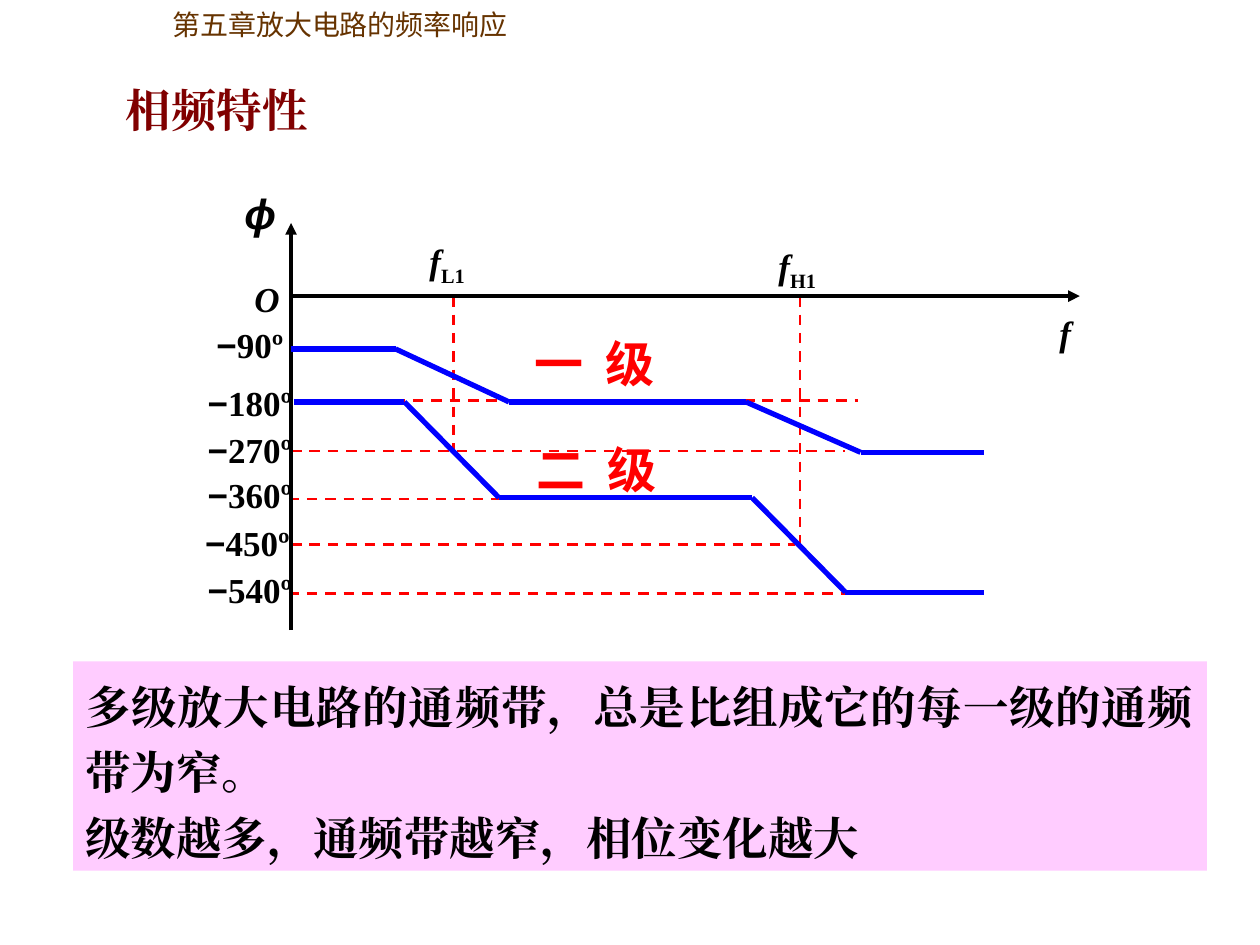
from dataclasses import dataclass
from itertools import pairwise

from lxml.etree import SubElement
from pptx import Presentation
from pptx.dml.color import RGBColor
from pptx.enum.dml import MSO_LINE_DASH_STYLE as Dash
from pptx.enum.shapes import MSO_CONNECTOR as Link, MSO_SHAPE as Form
from pptx.enum.text import MSO_ANCHOR as Anchor, PP_ALIGN as Align
from pptx.oxml.ns import qn
from pptx.util import Cm, Pt

BLACK = RGBColor(0x00, 0x00, 0x00)
RED = RGBColor(0xFF, 0x00, 0x00)
BLUE = RGBColor(0x00, 0x00, 0xFF)
BROWN = RGBColor(0x66, 0x33, 0x00)
MAROON = RGBColor(0x80, 0x00, 0x00)
PINK = RGBColor(0xFF, 0xCC, 0xFF)
SERIF, SANS = "Times New Roman", "Arial"
HAN, KANJI = "Noto Sans CJK SC", "Noto Sans CJK JP"


@dataclass
class Run:
    text: str
    size: float = 20
    font: str = SERIF
    color: RGBColor = BLACK
    bold: bool = True
    slant: bool = False
    base: int = 0   # baseline shift, percent
    gap: float = 0  # letter spacing, points


@dataclass
class Label:
    left: float
    top: float
    width: float
    height: float
    runs: list[Run]
    inset: float = 0.1


@dataclass
class Level:
    angle: str
    left: float
    top: float
    dash: tuple[float, float, float] | None  # from x, to x, y


def dist(inches: float) -> Cm:
    return Cm(inches * 2.54)


def add_run(para, run: Run) -> None:
    item = para.add_run()
    item.text = run.text
    font = item.font
    font.name, font.size = run.font, Pt(run.size)
    font.bold, font.italic = run.bold, run.slant
    font.color.rgb = run.color
    props = item._r.get_or_add_rPr()
    SubElement(props, qn("a:ea")).set("typeface", run.font)
    if run.base:
        props.set("baseline", str(run.base * 1000))
    if run.gap:
        props.set("spc", str(round(run.gap * 100)))


def add_label(slide, label: Label) -> None:
    box = slide.shapes.add_textbox(*map(dist, (label.left, label.top, label.width, label.height)))
    frame = box.text_frame
    frame.word_wrap = True
    frame.margin_left = dist(label.inset)
    para = frame.paragraphs[0]
    para.space_before = Pt(label.runs[0].size * 0.625)
    for run in label.runs:
        add_run(para, run)


def add_line(slide, start, end, color: RGBColor, width: float,
             dash: bool = False, arrow: bool = False) -> None:
    line = slide.shapes.add_connector(Link.STRAIGHT, *map(dist, (*start, *end)))
    line.line.color.rgb = color
    line.line.width = Pt(width)
    if dash:
        line.line.dash_style = Dash.DASH
    if arrow:
        SubElement(line.line._get_or_add_ln(), qn("a:tailEnd")).set("type", "triangle")
    SubElement(line._element.spPr, qn("a:effectLst"))


def add_note(slide, lines: list[str]) -> None:
    note = slide.shapes.add_shape(Form.RECTANGLE, *map(dist, (0.58, 5.25, 9, 1.66)))
    note.shadow.inherit = False
    note.fill.solid()
    note.fill.fore_color.rgb = PINK
    note.line.fill.background()
    frame = note.text_frame
    frame.word_wrap = True
    frame.vertical_anchor = Anchor.TOP
    for row, text in enumerate(lines):
        para = frame.add_paragraph() if row else frame.paragraphs[0]
        para.alignment = Align.JUSTIFY
        para.line_spacing = 1.2
        add_run(para, Run(text, 26))


def sign(text: str, low: str = "") -> list[Run]:
    runs = [Run(text, slant=True)]
    return runs + [Run(low, base=-25)] if low else runs


def stage(text: str) -> list[Run]:
    look = dict(size=28, font=HAN, color=RED)
    return [Run(text, **look), Run(" ", gap=6.3, **look), Run("级", **look)]


LEVELS = [
    Level("90º", 1.62, 2.52, None),
    Level("180º", 1.55, 2.98, (2.4, 6.81, 3.18)),
    Level("270º", 1.55, 3.35, (2.31, 6.71, 3.58)),
    Level("360º", 1.55, 3.71, (2.29, 4.29, 3.96)),
    Level("450º", 1.53, 4.09, (2.31, 6.31, 4.32)),
    Level("540º", 1.55, 4.46, (2.29, 7.67, 4.71)),
]
DROPS = [(3.6, 3.57), (6.35, 4.33)]  # x, lower end
CURVES = [
    [(2.33, 3.19), (3.21, 3.19), (3.96, 3.95), (5.97, 3.95), (6.71, 4.7), (7.81, 4.7)],
    [(2.31, 2.77), (3.14, 2.77), (4.04, 3.19), (5.92, 3.19), (6.83, 3.59), (7.81, 3.59)],
]
LABELS = [
    Label(1.17, 0.01, 3.44, 0.37,
          [Run("第五章放大电路的频率响应", 16, KANJI, BROWN, False)], inset=0.2),
    Label(0.9, 0.6, 2.08, 0.54, [Run("相频特性", 26, color=MAROON)]),
    Label(3.31, 1.85, 0.88, 0.48, sign("f", "L1")),
    Label(6.08, 1.89, 0.63, 0.48, sign("f", "H1")),
    Label(8.31, 2.42, 0.69, 0.44, sign("f")),
    Label(1.92, 2.15, 0.39, 0.44, sign("O")),
    Label(1.84, 1.44, 0.58, 0.5, [Run("ϕ", 24, SANS, slant=True)]),
]
STAGES = [
    Label(4.14, 2.6, 1.58, 0.57, stage("一")),
    Label(4.16, 3.44, 1.58, 0.57, stage("二")),
]


def main() -> None:
    deck = Presentation()
    deck.slide_width, deck.slide_height = dist(10), dist(7.5)
    slide = deck.slides.add_slide(deck.slide_layouts[6])

    # Headings and axis names
    for label in LABELS:
        add_label(slide, label)

    # Phase levels and corner frequencies
    for level in LEVELS:
        runs = [Run("−", font=SANS), Run(level.angle)]
        add_label(slide, Label(level.left, level.top, 1, 0.44, runs))
        if level.dash:
            left, right, y = level.dash
            add_line(slide, (left, y), (right, y), RED, 1.5, dash=True)
    for x, low in DROPS:
        add_line(slide, (x, 2.35), (x, low), RED, 1.5, dash=True)

    # Axes
    add_line(slide, (2.32, 2.35), (8.57, 2.35), BLACK, 2.25, arrow=True)
    add_line(slide, (2.31, 5), (2.31, 1.77), BLACK, 2.25, arrow=True)

    # Phase curves with their stage names
    for curve in CURVES:
        for start, end in pairwise(curve):
            add_line(slide, start, end, BLUE, 3)
    for label in STAGES:
        add_label(slide, label)

    # Conclusion
    add_note(slide, ["多级放大电路的通频带，总是比组成它的每一级的通频带为窄。",
                     "级数越多，通频带越窄，相位变化越大"])
    deck.save("out.pptx")


if __name__ == "__main__":
    main()
